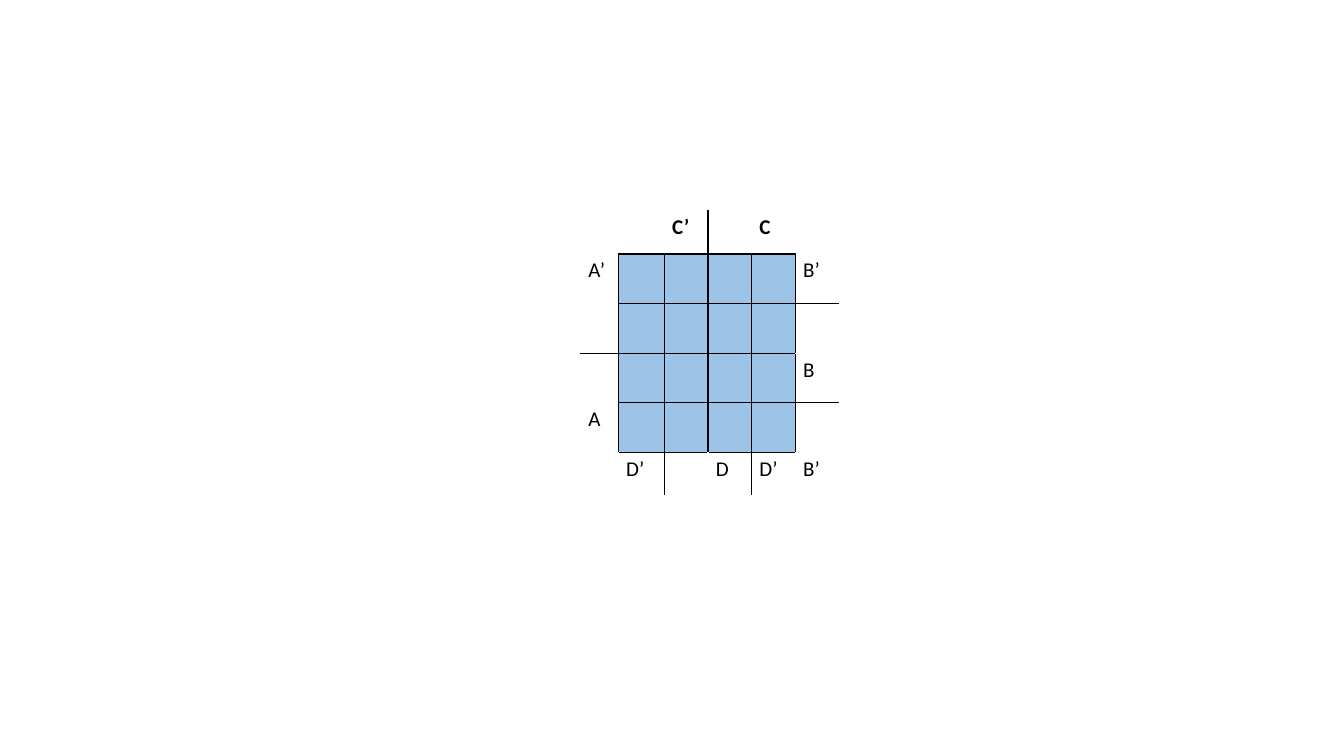
from lxml.etree import SubElement as Sub
from pptx import Presentation
from pptx.dml.color import RGBColor as RGB
from pptx.oxml.ns import qn
from pptx.util import Cm, Pt

BLACK = RGB(0x00, 0x00, 0x00)
WHITE = RGB(0xFF, 0xFF, 0xFF)
BLUE = RGB(0x9D, 0xC3, 0xE6)

COLS = [0.95, 1.16, 1.1, 1.1, 1.1, 1.1]
ROWS = [1.1, 1.25, 1.25, 1.25, 1.25, 1.1]
LABELS = {
    (0, 2): "C’", (0, 4): "C",
    (1, 0): "A’", (4, 0): "A",
    (1, 5): "B’", (3, 5): "B", (5, 5): "B’",
    (5, 1): "D’", (5, 3): "D", (5, 4): "D’",
}
TICKS = [
    {(0, 2), (0, 3)},
    {(2, 0), (3, 0)},
    {(1, 5), (2, 5)}, {(3, 5), (4, 5)},
    {(5, 1), (5, 2)}, {(5, 3), (5, 4)},
]
SIDES = {"lnL": (0, -1), "lnR": (0, 1), "lnT": (-1, 0), "lnB": (1, 0)}
PLAIN = {"first_row": False, "horz_banding": False}
INSET = {"margin_left": Cm(0.2), "margin_right": Cm(0.2),
         "margin_top": Cm(0.1), "margin_bottom": Cm(0.1)}
FONT = {"name": "Calibri", "size": Pt(15)}


def apply(item, form):
    for key, val in form.items():
        setattr(item, key, val)


def in_map(spot):
    return all(1 <= num <= 4 for num in spot)


def add_edges(cell, spot):
    props = cell._tc.get_or_add_tcPr()
    for tag, (down, right) in SIDES.items():
        near = (spot[0] + down, spot[1] + right)
        dark = in_map(spot) or in_map(near) or {spot, near} in TICKS
        line = Sub(props, qn("a:" + tag), w=str(Pt(1)))
        fill = Sub(line, qn("a:solidFill"))
        Sub(fill, qn("a:srgbClr"), val=str(BLACK if dark else WHITE))


def add_label(cell, text, bold):
    run = cell.text_frame.paragraphs[0].add_run()
    run.text = text
    apply(run.font, FONT | {"bold": bold})
    run.font.color.rgb = BLACK


def add_map(slide, left, top, width, height):
    table = slide.shapes.add_table(
        len(ROWS), len(COLS), Cm(left), Cm(top), Cm(width), Cm(height)).table
    apply(table, PLAIN)
    for col, size in zip(table.columns, COLS):
        col.width = Cm(width * size / sum(COLS))
    for row, size in zip(table.rows, ROWS):
        row.height = Cm(height * size / sum(ROWS))
    for r in range(len(ROWS)):
        for c in range(len(COLS)):
            cell, spot = table.cell(r, c), (r, c)
            apply(cell, INSET)
            add_edges(cell, spot)
            cell.fill.solid()
            cell.fill.fore_color.rgb = BLUE if in_map(spot) else WHITE
            if spot in LABELS:
                add_label(cell, LABELS[spot], r == 0)


def main():
    deck = Presentation()
    apply(deck, {"slide_width": Cm(33.87), "slide_height": Cm(19.05)})
    slide = deck.slides.add_slide(deck.slide_layouts[6])
    add_map(slide, 14.63, 5.3, sum(COLS), sum(ROWS))
    deck.save("out.pptx")


if __name__ == "__main__":
    main()
